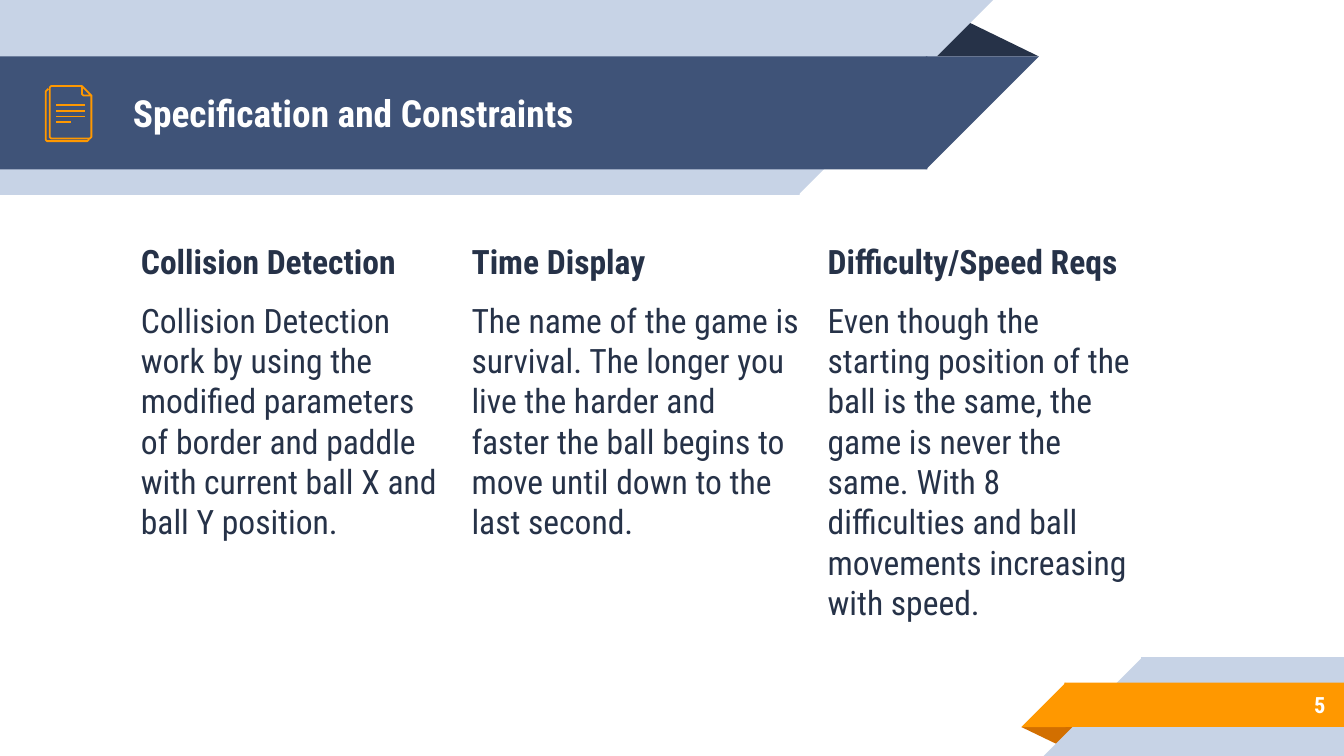
from pptx import Presentation
from pptx.dml.color import RGBColor
from pptx.enum.shapes import MSO_CONNECTOR, MSO_SHAPE
from pptx.enum.text import MSO_ANCHOR, PP_ALIGN
from pptx.oxml.ns import qn
from pptx.util import Inches, Pt
from lxml.etree import SubElement

THEME = dict(font="Roboto Condensed", navy="263248", blue="3F5378", pale="C7D3E6",
             orange="FF9800", rust="D26F00", white="FFFFFF",
             title=20, body=18, number=12, stroke=0.96)
WIDTH = 10
HEIGHT = WIDTH * 9 / 16
OVERLAP = 0.01

TITLE = "Specification and Constraints"
NUMBER = "5"
COLUMNS = [
    (2.46, "Collision Detection",
     "Collision Detection work by using the modified parameters of border and paddle "
     "with current ball X and ball Y position."),
    (2.65, "Time Display",
     "The name of the game is survival. The longer you live the harder and faster the "
     "ball begins to move until down to the last second."),
    (2.46, "Difficulty/Speed Reqs",
     "Even though the starting position of the ball is the same, the game is never the "
     "same. With 8 difficulties and ball movements increasing with speed."),
]
TOP_BANDS = [(0, 5.94, 1.45, "pale"), (0.42, 6.89, 0.84, "blue")]
BOTTOM_BANDS = [(4.89, 8.5, HEIGHT - 4.89, "pale"), (5.08, 7.93, 0.33, "orange")]

BACK_PAGE = [(0.66, 1.03), (0.66, 1.04), (0.65, 1.05), (0.64, 1.05), (0.36, 1.05),
             (0.35, 1.05), (0.34, 1.04), (0.34, 1.03), (0.34, 0.68), (0.35, 0.67),
             (0.36, 0.66)]
FRONT_PAGE = [(0.68, 0.71), (0.68, 1.01), (0.68, 1.02), (0.67, 1.03), (0.66, 1.03),
              (0.38, 1.03), (0.37, 1.02), (0.37, 1.01), (0.37, 0.66), (0.37, 0.65),
              (0.38, 0.64), (0.61, 0.64)]
FOLD = [(0.61, 0.7), (0.61, 0.64), (0.68, 0.71), (0.63, 0.71), (0.62, 0.71)]
RULE_ENDS = [0.63, 0.63, 0.63, 0.53]


def color(name):
    return RGBColor.from_string(THEME[name])


def add_block(shapes, kind, x, y, w, h, fill, rotation=0):
    sp = shapes.add_shape(kind, Inches(x), Inches(y), Inches(w), Inches(h))
    sp.shadow.inherit = False
    sp.fill.solid()
    sp.fill.fore_color.rgb = color(fill)
    sp.line.fill.background()
    sp.rotation = rotation
    return sp


def add_text(s, box, paragraphs, size, fill, anchor=MSO_ANCHOR.TOP, align=PP_ALIGN.LEFT):
    tf = s.shapes.add_textbox(*map(Inches, box)).text_frame
    tf.word_wrap = True
    tf.vertical_anchor = anchor
    tf.margin_left = tf.margin_right = tf.margin_top = tf.margin_bottom = Inches(0.1)
    for i, (text, bold, before, after) in enumerate(paragraphs):
        p = tf.add_paragraph() if i else tf.paragraphs[0]
        p.alignment = align
        p.space_before, p.space_after = Pt(before), Pt(after)
        r = p.add_run()
        r.text = text
        r.font.name, r.font.size, r.font.bold = THEME["font"], Pt(THEME[size]), bold
        r.font.color.rgb = color(fill)


def set_stroke(line):
    line.color.rgb = color("orange")
    line.width = Pt(THEME["stroke"])


def add_outline(shapes, points, close=False):
    points = [(Inches(x), Inches(y)) for x, y in points]
    builder = shapes.build_freeform(*points[0])
    builder.add_line_segments(points[1:], close=close)
    sp = builder.convert_to_shape()
    sp.shadow.inherit = False
    sp.fill.background()
    set_stroke(sp.line)


def add_rule(shapes, x1, x2, y):
    line = shapes.add_connector(MSO_CONNECTOR.STRAIGHT, *map(Inches, (x1, y, x2, y)))
    set_stroke(line.line)
    SubElement(line._element.spPr, qn("a:effectLst"))


def add_ribbons(s):
    top = s.shapes.add_group_shape().shapes
    fold = add_block(top, MSO_SHAPE.ISOSCELES_TRIANGLE, 6.88, 0.14, 0.85, 0.28, "navy")
    fold.adjustments[0] = 0.324
    for y, edge, h, fill in TOP_BANDS:
        add_block(top, MSO_SHAPE.RECTANGLE, 0, y, edge + OVERLAP, h, fill)
        add_block(top, MSO_SHAPE.RIGHT_TRIANGLE, edge, y, h, h, fill, 90)

    bottom = s.shapes.add_group_shape().shapes
    fold = add_block(bottom, MSO_SHAPE.ISOSCELES_TRIANGLE, 7.6, 5.41, 0.43, 0.14, "rust", 180)
    fold.adjustments[0] = 0.324
    for y, edge, h, fill in BOTTOM_BANDS:
        left = edge - OVERLAP
        add_block(bottom, MSO_SHAPE.RECTANGLE, left, y, WIDTH - left, h, fill)
        add_block(bottom, MSO_SHAPE.RIGHT_TRIANGLE, edge - h, y, h, h, fill, 270)


def add_document_icon(s):
    icon = s.shapes.add_group_shape().shapes
    add_outline(icon, BACK_PAGE)
    add_outline(icon, FRONT_PAGE)
    for i, end in enumerate(RULE_ENDS):
        add_rule(icon, 0.42, end, 0.78 + i * 0.13 / 3)
    add_outline(icon, FOLD, close=True)


def main():
    prs = Presentation()
    prs.slide_width, prs.slide_height = Inches(WIDTH), Inches(HEIGHT)
    s = prs.slides.add_slide(prs.slide_layouts[6])
    add_ribbons(s)
    add_text(s, (0.89, 0.42, 5.75, 0.84), [(TITLE, True, 0, 0)], "title", "white",
             anchor=MSO_ANCHOR.MIDDLE)
    x = 0.95
    for width, heading, body in COLUMNS:
        add_text(s, (x, 1.69, width, 2.96),
                 [(heading, True, 6, 0), (body, False, 10, 10)], "body", "navy")
        x += width
    add_text(s, (8.33, 5.07, 1.63, 0.35), [(NUMBER, True, 0, 0)], "number", "white",
             anchor=MSO_ANCHOR.MIDDLE, align=PP_ALIGN.RIGHT)
    add_document_icon(s)
    prs.save("out.pptx")


if __name__ == "__main__":
    main()
